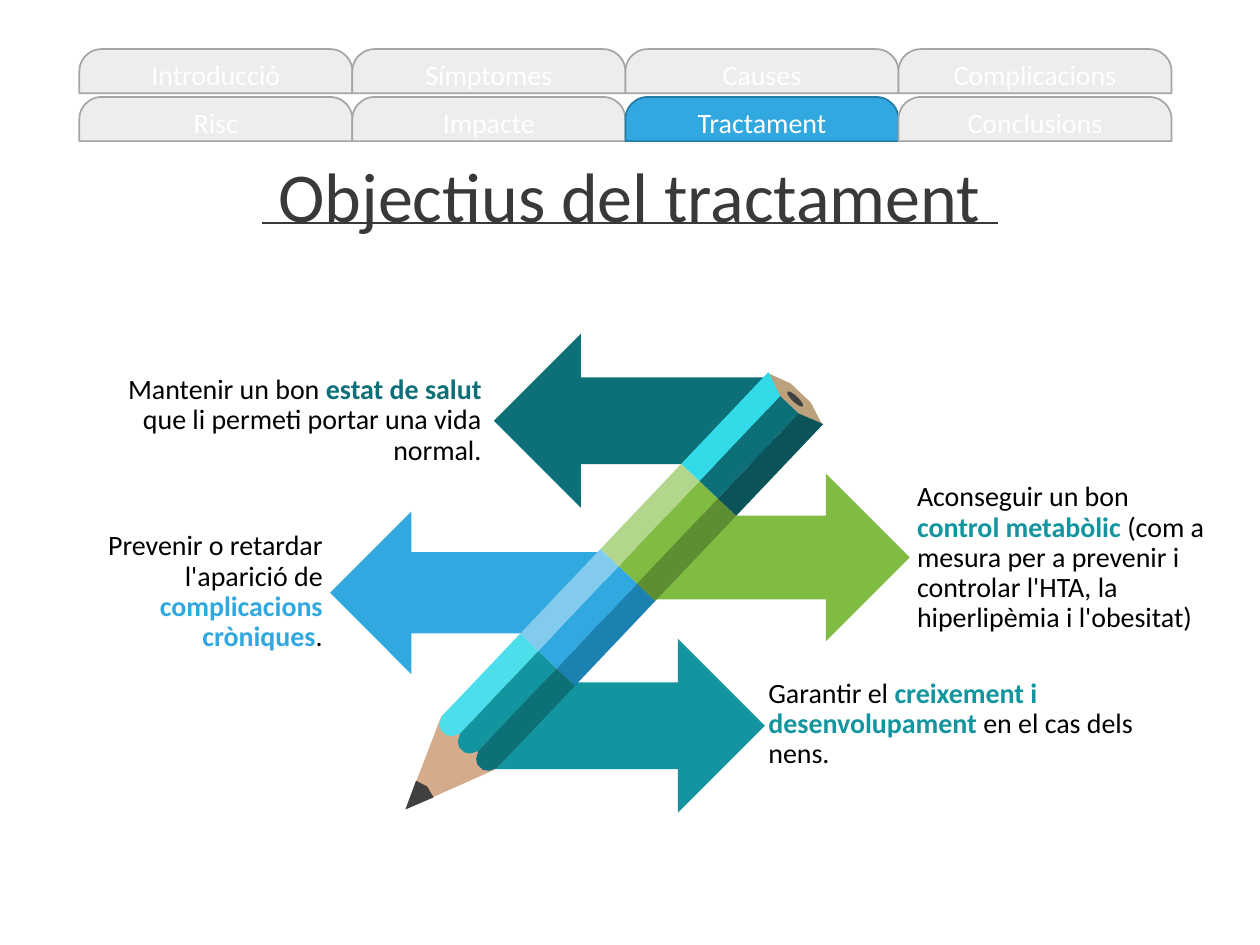
from math import cos, radians, sin

from pptx import Presentation
from pptx.dml.color import RGBColor
from pptx.enum.shapes import MSO_CONNECTOR, MSO_SHAPE
from pptx.enum.text import MSO_ANCHOR, MSO_AUTO_SIZE, PP_ALIGN
from pptx.oxml.ns import qn
from pptx.util import Inches, Pt

TAB = MSO_SHAPE.ROUND_2_SAME_RECTANGLE
ARROW = MSO_SHAPE.LEFT_ARROW
RECT, OVAL = MSO_SHAPE.RECTANGLE, MSO_SHAPE.OVAL
STRAIGHT = MSO_CONNECTOR.STRAIGHT
MIDDLE, TOP = MSO_ANCHOR.MIDDLE, MSO_ANCHOR.TOP
LEFT, CENTER, RIGHT = PP_ALIGN.LEFT, PP_ALIGN.CENTER, PP_ALIGN.RIGHT
GROW = MSO_AUTO_SIZE.SHAPE_TO_FIT_TEXT

WIDE, HIGH = Inches(10), Inches(7.5)
FONT = "Calibri"
HEX = {
    "white": "FFFFFF", "black": "000000", "ink": "3A3838", "lead": "404040",
    "mist": "EDEDED", "gray": "A5A5A5", "edge": "247CA5",
    "sky": "83CBEC", "blue": "31A8DF", "navy": "1B81B1",
    "lime": "B2D78C", "green": "7FBC41", "moss": "5F8D31",
    "aqua": "33DBE9", "teal": "0D6F77", "deep": "0A5359",
    "cyan": "4CDFEB", "sea": "12959F", "pine": "0D7077",
    "wood": "BBA17C", "skin": "D4AC8C",
}

TABS = [
    ["Introducció", "Símptomes", "Causes", "Complicacions"],
    ["Risc", "Impacte", "Tractament", "Conclusions"],
]
ACTIVE = "Tractament"

# Left, top, width, height in percent of the slide, then turn and colour
ARROWS = [
    (39, 67.6, 21.7, 18.4, 180, "sea"),
    (50.5, 50.13, 21.7, 17.73, 180, "green"),
    (39.2, 35.33, 21.7, 18.4, 0, "teal"),
    (26.2, 54.13, 21.7, 17.2, 0, "blue"),
]
# Left, top, width in percent, alignment, then runs of text and colour
GOALS = [
    (7.7, 36.67, 31.5, RIGHT, [
        ("Mantenir un bon ", "black"), ("estat de salut ", "teal"),
        ("que li permeti portar una vida normal.", "black")]),
    (71.8, 51.2, 25, LEFT, [
        ("Aconseguir un bon ", "black"), ("control metabòlic ", "sea"),
        ("(com a mesura per a prevenir i controlar l'HTA, "
         "la hiperlipèmia i l'obesitat)", "black")]),
    (3.2, 54.8, 23.4, RIGHT, [
        ("Prevenir o retardar l'aparició de ", "black"),
        ("complicacions cròniques", "blue"), (".", "black")]),
    (60, 68.8, 31.5, LEFT, [
        ("Garantir el ", "black"),
        ("creixement i desenvolupament ", "sea"),
        ("en el cas dels nens.", "black")]),
]

# The pencil lies on its own grid: columns along it, rows across it.
# Column 0 to 1 is the blue band and row 0 is the long axis.
TURN = -46.5
COL, ROW = Inches(0.93), Inches(0.2)
HUB = 0.5
HUB_X, HUB_Y = 46.65, 65.33
BANDS = [("sky", "blue", "navy"), ("lime", "green", "moss")]
BUTT = [(2.94, -0.75), (3.07, -1.5), (3.14, -0.55),
        (3.14, 0.55), (3.07, 1.5), (2.94, 0.75)]
CAP = [(2, -1.5), (3.08, -1.5), (3, -0.5), (2, -0.5)]
CONE = [(-0.83, -1.5), (-0.83, 1.5), (-0.98, 1.5), (-1.76, 0), (-0.98, -1.5)]
WAVE = [(0, -0.5), (-0.97, -0.5), (-1.03, -0.35), (-1.06, -0.15),
        (-1.06, 0.15), (-1.03, 0.35), (-0.97, 0.5), (0, 0.5)]
POINT = [(-1.52, -0.48), (-1.76, 0), (-1.52, 0.48), (-1.49, 0)]


def across(share):
    return round(WIDE * share / 100)


def down(share):
    return round(HIGH * share / 100)


def area(x, y, w, h):
    return across(x), down(y), across(w), down(h)


def color(name):
    return RGBColor.from_string(HEX[name])


def paint(shape, fill, line=None):
    shape.shadow.inherit = False
    shape.fill.solid()
    shape.fill.fore_color.rgb = color(fill)
    if line:
        shape.line.color.rgb = color(line)
        shape.line.width = Pt(1)
    else:
        shape.line.fill.background()
    return shape


def write(frame, runs, size, align, anchor=MIDDLE):
    frame.vertical_anchor = anchor
    para = frame.paragraphs[0]
    para.alignment = align
    para.font.name, para.font.size = FONT, Pt(size)
    for text, tone in runs:
        run = para.add_run()
        run.text = text
        run.font.color.rgb = color(tone)
        if tone in ("teal", "sea", "blue"):
            run.font.bold = True
    return para


def add_tab(shapes, col, row, text):
    box = area(6.3 + 21.67 * col, 5.2 + 5.07 * row, 21.67, 4.67)
    tab = shapes.add_shape(TAB, *box)
    tab.adjustments[0] = 0.5
    paint(tab, *(("blue", "edge") if text == ACTIVE else ("mist", "gray")))
    frame = tab.text_frame
    frame.margin_left = frame.margin_right = 0
    frame.margin_top = frame.margin_bottom = 0
    write(frame, [(text, "white")], 16, CENTER)


def add_title(shapes, text):
    box = shapes.add_textbox(*area(20.8, 15.47, 58.3, 10.27))
    box.text_frame.word_wrap = False
    box.text_frame.auto_size = GROW
    write(box.text_frame, [(text, "ink")], 40, CENTER, TOP)
    rule = shapes.add_connector(STRAIGHT, across(20.8), down(23.6),
                                across(79.2), down(23.6))
    rule.line.color.rgb = color("ink")
    rule.line.width = Pt(1)
    props = rule._element.spPr
    props.append(props.makeelement(qn("a:effectLst"), {}))


def add_arrow(shapes, x, y, w, h, turn, tone):
    arrow = paint(shapes.add_shape(ARROW, *area(x, y, w, h)), tone)
    arrow.rotation = turn


def add_goal(shapes, x, y, w, align, runs):
    box = shapes.add_textbox(*area(x, y, w, 15.73))
    box.text_frame.word_wrap = True
    write(box.text_frame, runs, 16, align).line_spacing = 0.9


def tilt(shape, tone):
    """Swing a shape drawn flat on the pencil grid about the hub."""
    paint(shape, tone)
    along = shape.left + shape.width / 2
    side = shape.top + shape.height / 2
    angle = radians(TURN)
    mid_x = across(HUB_X) + along * cos(angle) - side * sin(angle)
    mid_y = down(HUB_Y) + along * sin(angle) + side * cos(angle)
    shape.left = round(mid_x - shape.width / 2)
    shape.top = round(mid_y - shape.height / 2)
    shape.rotation = TURN % 360


def add_block(shapes, kind, col, row, wide, high, tone):
    """Add a preset shape centred on a point of the pencil grid."""
    left, top = (col - wide / 2 - HUB) * COL, (row - high / 2) * ROW
    tilt(shapes.add_shape(kind, round(left), round(top),
                          round(wide * COL), round(high * ROW)), tone)


def add_part(shapes, points, tone, shift=0):
    """Add an outline given on the pencil grid, moved down by shift rows."""
    spots = [(round((c - HUB) * COL), round((r + shift) * ROW))
             for c, r in points]
    build = shapes.build_freeform(*spots[0])
    build.add_line_segments(spots[1:], close=True)
    tilt(build.convert_to_shape(), tone)


def add_pencil(shapes):
    for col, tones in enumerate(BANDS):
        for row, tone in enumerate(tones, -1):
            add_block(shapes, RECT, col + 0.5, row, 1, 1, tone)
    add_part(shapes, BUTT, "wood")
    add_part(shapes, CAP, "aqua")
    add_block(shapes, RECT, 2.5, 0, 1, 1, "teal")
    add_part(shapes, [(c, -r) for c, r in CAP], "deep")
    add_block(shapes, OVAL, 3.07, 0, 0.05, 0.85, "lead")
    add_part(shapes, CONE, "skin")
    for row, tone in enumerate(("cyan", "sea", "pine"), -1):
        add_part(shapes, WAVE, tone, row)
    add_part(shapes, POINT, "lead")


def main():
    deck = Presentation()
    deck.slide_width, deck.slide_height = WIDE, HIGH
    shapes = deck.slides.add_slide(deck.slide_layouts[6]).shapes
    for row, names in enumerate(TABS):
        for col, name in enumerate(names):
            add_tab(shapes, col, row, name)
    add_title(shapes, "Objectius del tractament")
    for arrow in ARROWS:
        add_arrow(shapes, *arrow)
    add_pencil(shapes)
    for goal in GOALS:
        add_goal(shapes, *goal)
    deck.save("out.pptx")


if __name__ == "__main__":
    main()
